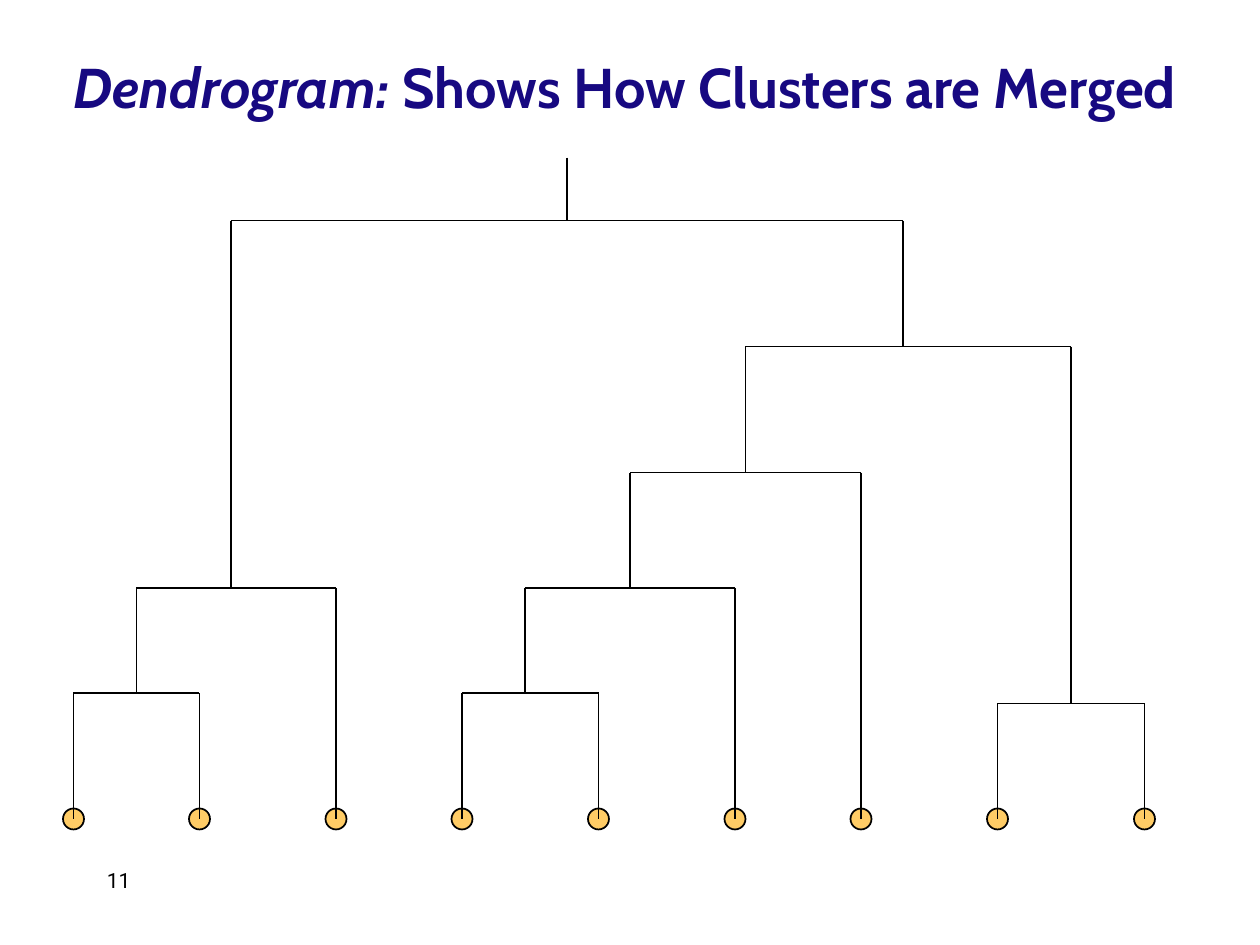
from pptx import Presentation
from pptx.dml.color import RGBColor
from pptx.enum.shapes import MSO_CONNECTOR, MSO_SHAPE
from pptx.enum.text import MSO_AUTO_SIZE
from pptx.oxml.ns import qn
from pptx.util import Emu, Pt

STRAIGHT = MSO_CONNECTOR.STRAIGHT
ELLIPSE = MSO_SHAPE.OVAL
FIT_TEXT = MSO_AUTO_SIZE.SHAPE_TO_FIT_TEXT

EMU_PER_PX = 7620
SLIDE_WIDTH, SLIDE_HEIGHT = 1200, 900
COLORS = {"title": "170981", "leaf": "FFCC66", "ink": "000000"}

LEAF_Y = 780
LEAF_SIZE = 20
LEAVES = (70, 190, 320, 440, 570, 700, 820, 950, 1090)
ROOT_X, ROOT_TOP, ROOT_Y = 540, 150, 210

# Each merge: height, left x, left foot, right x, right foot
MERGES = (
    (660, 70, LEAF_Y, 190, LEAF_Y),
    (660, 440, LEAF_Y, 570, LEAF_Y),
    (670, 950, LEAF_Y, 1090, LEAF_Y),
    (560, 130, 660, 320, LEAF_Y),
    (560, 500, 660, 700, LEAF_Y),
    (450, 600, 560, 820, LEAF_Y),
    (330, 710, 450, 1020, 670),
    (ROOT_Y, 220, 560, 860, 330),
)


def px(length):
    return Emu(length * EMU_PER_PX)


def color(name):
    return RGBColor.from_string(COLORS[name])


def add_span(para, text, *, font, size, ink, bold=False, italic=False):
    span = para.add_run()
    span.text = text
    span.font.name = font
    span.font.size = Pt(size)
    span.font.bold = bold
    span.font.italic = italic
    span.font.color.rgb = color(ink)


class Painter:
    def __init__(self, page, line_width=1):
        self.page = page
        self.line_width = Pt(line_width)

    def outline(self, line):
        line.color.rgb = color("ink")
        line.width = self.line_width

    def leaf(self, x, y):
        half = LEAF_SIZE // 2
        dot = self.page.shapes.add_shape(
            ELLIPSE, px(x - half), px(y - half), px(LEAF_SIZE), px(LEAF_SIZE))
        dot.shadow.inherit = False
        dot.fill.solid()
        dot.fill.fore_color.rgb = color("leaf")
        self.outline(dot.line)

    def line(self, x1, y1, x2, y2):
        connector = self.page.shapes.add_connector(
            STRAIGHT, px(x1), px(y1), px(x2), px(y2))
        self.outline(connector.line)
        properties = connector._element.spPr
        properties.append(properties.makeelement(qn("a:effectLst"), {}))

    def merge(self, y, left, left_foot, right, right_foot):
        self.line(left, y, left, left_foot)
        self.line(left, y, right, y)
        self.line(right, y, right, right_foot)

    def text(self, x, y, width, height):
        box = self.page.shapes.add_textbox(px(x), px(y), px(width), px(height))
        box.text_frame.word_wrap = True
        return box.text_frame


def main():
    deck = Presentation()
    deck.slide_width, deck.slide_height = px(SLIDE_WIDTH), px(SLIDE_HEIGHT)
    painter = Painter(deck.slides.add_slide(deck.slide_layouts[6]))

    for x in LEAVES:
        painter.leaf(x, LEAF_Y)
    for merge in MERGES:
        painter.merge(*merge)
    painter.line(ROOT_X, ROOT_TOP, ROOT_X, ROOT_Y)

    title = painter.text(58, 44, 1220, 76)
    title.auto_size = FIT_TEXT
    para = title.paragraphs[0]
    heading = {"font": "Cabin", "size": 32, "ink": "title", "bold": True}
    add_span(para, "Dendrogram:", italic=True, **heading)
    add_span(para, " Shows How Clusters are Merged", **heading)

    number = painter.text(90, 820, 250, 60)
    add_span(number.paragraphs[0], "11", font="Roboto", size=12, ink="ink")

    deck.save("out.pptx")


if __name__ == "__main__":
    main()
